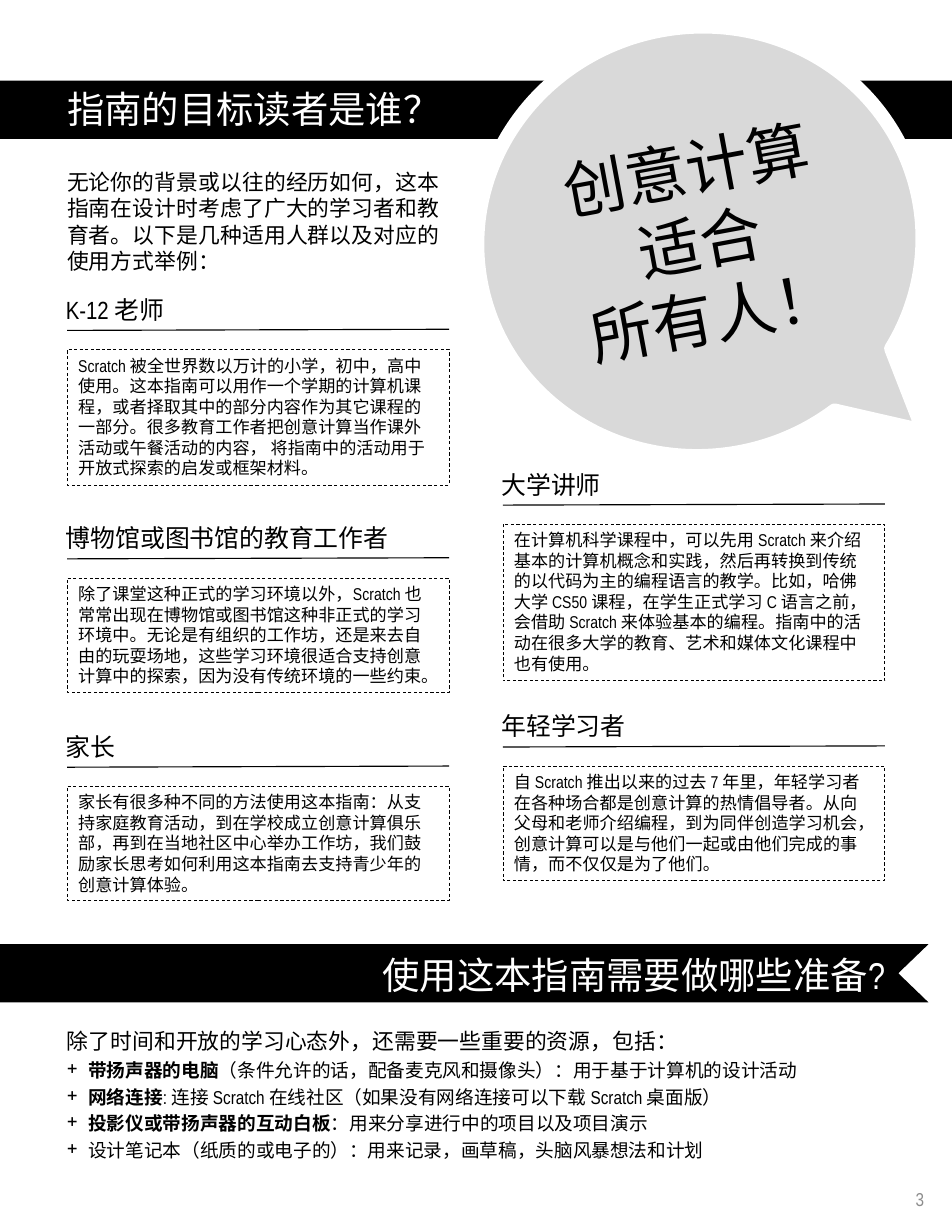
from dataclasses import dataclass

from lxml.etree import SubElement
from pptx import Presentation
from pptx.dml.color import RGBColor
from pptx.enum.dml import MSO_LINE
from pptx.enum.shapes import MSO_CONNECTOR, MSO_SHAPE
from pptx.enum.text import MSO_ANCHOR, MSO_AUTO_SIZE, PP_ALIGN
from pptx.oxml.ns import qn
from pptx.util import Inches, Pt

BLACK = RGBColor(0x00, 0x00, 0x00)
WHITE = RGBColor(0xFF, 0xFF, 0xFF)
BUBBLE = RGBColor(0xD9, 0xD9, 0xD9)
GRAY = RGBColor(0x8C, 0x8C, 0x8C)
FONT = "Arial Narrow"
PAGE_WIDTH, PAGE_HEIGHT = 8.5, 11
MARGIN = 0.5
COLUMNS = (0.6, 4.49)
COLUMN_WIDTH = 3.41
INSET = 0.11
BAND_HEIGHT = 0.52


@dataclass
class Audience:
    column: int
    top: float
    height: float
    heading: str
    body: str


@dataclass
class Resource:
    name: str
    detail: str
    bold: bool = True


AUDIENCES = [
    Audience(0, 2.58, 1.21, "K-12 老师",
             "Scratch 被全世界数以万计的小学，初中，高中使用。这本指南可以用作一个学期的计算机课程，"
             "或者择取其中的部分内容作为其它课程的一部分。很多教育工作者把创意计算当作课外活动或午餐活动的内容， "
             "将指南中的活动用于开放式探索的启发或框架材料。"),
    Audience(1, 4.14, 1.4, "大学讲师",
             "在计算机科学课程中，可以先用 Scratch 来介绍基本的计算机概念和实践，"
             "然后再转换到传统的以代码为主的编程语言的教学。比如，哈佛大学 CS50 课程，"
             "在学生正式学习 C 语言之前，会借助 Scratch 来体验基本的编程。"
             "指南中的活动在很多大学的教育、艺术和媒体文化课程中也有使用。"),
    Audience(0, 4.62, 1.02, "博物馆或图书馆的教育工作者",
             "除了课堂这种正式的学习环境以外，Scratch 也常常出现在博物馆或图书馆这种非正式的学习环境中。"
             "无论是有组织的工作坊，还是来去自由的玩耍场地，这些学习环境很适合支持创意计算中的探索，"
             "因为没有传统环境的一些约束。"),
    Audience(0, 6.48, 1.02, "家长",
             "家长有很多种不同的方法使用这本指南：从支持家庭教育活动，到在学校成立创意计算俱乐部，"
             "再到在当地社区中心举办工作坊，我们鼓励家长思考如何利用这本指南去支持青少年的创意计算体验。"),
    Audience(1, 6.3, 1.02, "年轻学习者",
             "自 Scratch 推出以来的过去 7 年里，年轻学习者在各种场合都是创意计算的热情倡导者。"
             "从向父母和老师介绍编程，到为同伴创造学习机会，创意计算可以是与他们一起或由他们完成的事情，"
             "而不仅仅是为了他们。"),
]

RESOURCES = [
    Resource("带扬声器的电脑", "（条件允许的话，配备麦克风和摄像头）：用于基于计算机的设计活动"),
    Resource("网络连接", ": 连接 Scratch 在线社区（如果没有网络连接可以下载 Scratch 桌面版）"),
    Resource("投影仪或带扬声器的互动白板", "：用来分享进行中的项目以及项目演示"),
    Resource("设计笔记本", "（纸质的或电子的）：用来记录，画草稿，头脑风暴想法和计划", bold=False),
]


def add_span(para, text: str, size: float, color=BLACK, bold=False) -> None:
    span = para.add_run()
    span.text = text
    span.font.name = FONT
    span.font.size = Pt(size)
    span.font.bold = bold
    span.font.color.rgb = color


def write(box, *lines: str, size: float, color=BLACK, align=PP_ALIGN.LEFT,
          anchor=MSO_ANCHOR.TOP, grow=True) -> None:
    frame = box.text_frame
    frame.word_wrap = True
    frame.auto_size = MSO_AUTO_SIZE.SHAPE_TO_FIT_TEXT if grow else MSO_AUTO_SIZE.NONE
    frame.vertical_anchor = anchor
    for index, line in enumerate(lines):
        para = frame.add_paragraph() if index else frame.paragraphs[0]
        para.alignment = align
        add_span(para, line, size, color)


def add_box(page, left: float, top: float, width: float, height: float):
    return page.shapes.add_textbox(Inches(left), Inches(top), Inches(width), Inches(height))


def add_shape(page, preset, left: float, top: float, width: float, height: float, fill=None):
    shape = page.shapes.add_shape(preset, Inches(left), Inches(top), Inches(width), Inches(height))
    paint(shape, fill)
    return shape


def paint(shape, fill) -> None:
    shape.shadow.inherit = False
    shape.line.fill.background()
    if fill is None:
        shape.fill.background()
    else:
        shape.fill.solid()
        shape.fill.fore_color.rgb = fill


def add_rule(page, left: float, top: float) -> None:
    rule = page.shapes.add_connector(MSO_CONNECTOR.STRAIGHT, Inches(left), Inches(top),
                                     Inches(left + COLUMN_WIDTH), Inches(top - 0.01))
    rule.line.color.rgb = BLACK
    rule.line.width = Pt(0.75)
    SubElement(rule._element.spPr, qn("a:effectLst"))


def add_audience(page, audience: Audience) -> None:
    left = COLUMNS[audience.column]
    panel = add_shape(page, MSO_SHAPE.RECTANGLE, left, audience.top + 0.54,
                      COLUMN_WIDTH, audience.height)
    panel.line.color.rgb = BLACK
    panel.line.width = Pt(0.5)
    panel.line.dash_style = MSO_LINE.DASH
    write(panel, audience.body, size=11)
    heading = add_box(page, left - INSET, audience.top, COLUMN_WIDTH + 2 * INSET, 0.37)
    write(heading, audience.heading, size=16)
    add_rule(page, left, audience.top + 0.37)


def add_resource(box, resource: Resource) -> None:
    para = box.text_frame.add_paragraph()
    para.line_spacing = 1.2
    properties = para._p.get_or_add_pPr()
    properties.set("marL", str(Inches(0.19)))
    properties.set("indent", str(Inches(-0.19)))
    SubElement(properties, qn("a:buChar"), char="+")
    add_span(para, resource.name, 12, bold=resource.bold)
    add_span(para, resource.detail, 12)


def add_ribbon(page, top: float) -> None:
    right, notch = 8.29, 8.02
    bottom = top + BAND_HEIGHT
    builder = page.shapes.build_freeform(0, Inches(top))
    points = [(right, top), (notch, top + BAND_HEIGHT / 2), (right, bottom), (0, bottom)]
    builder.add_line_segments([(Inches(x), Inches(y)) for x, y in points], close=True)
    paint(builder.convert_to_shape(), BLACK)
    label = add_box(page, 2.18, top + 0.02, 5.82, 0.5)
    write(label, "使用这本指南需要做哪些准备?", size=24, color=WHITE,
          align=PP_ALIGN.RIGHT, anchor=MSO_ANCHOR.MIDDLE)


def add_bubble(page) -> None:
    bubble = add_shape(page, MSO_SHAPE.OVAL_CALLOUT, 4.26, 0.24, 3.98, 3.83, BUBBLE)
    bubble.adjustments[0] = -0.415
    bubble.adjustments[1] = 0.529
    bubble.rotation = 349.5
    bubble._element.spPr.xfrm.set("flipH", "1")
    bubble.line.color.rgb = WHITE
    bubble.line.width = Pt(9)
    write(bubble, "创意计算适合", "所有人！", size=40, align=PP_ALIGN.CENTER,
          anchor=MSO_ANCHOR.MIDDLE, grow=False)


def place_title(page) -> None:
    title = page.shapes.title
    title.left, title.top = Inches(MARGIN), Inches(0.72)
    title.width, title.height = Inches(5.13), Inches(0.5)
    write(title, "指南的目标读者是谁？", size=24, color=WHITE, anchor=MSO_ANCHOR.MIDDLE)
    page.shapes._spTree.append(title._element)


def main() -> None:
    deck = Presentation()
    deck.slide_width, deck.slide_height = Inches(PAGE_WIDTH), Inches(PAGE_HEIGHT)
    page = deck.slides.add_slide(deck.slide_layouts[5])
    add_shape(page, MSO_SHAPE.RECTANGLE, 0, 0.72, 8.56, BAND_HEIGHT, BLACK)
    resources = add_box(page, MARGIN, 9.13, PAGE_WIDTH - 2 * MARGIN, 1.3)
    write(resources, "除了时间和开放的学习心态外，还需要一些重要的资源，包括：", size=14)
    for resource in RESOURCES:
        add_resource(resources, resource)
    for audience in AUDIENCES:
        add_audience(page, audience)
    introduction = add_box(page, MARGIN, 1.46, 3.52, 1.04)
    write(introduction, "无论你的背景或以往的经历如何，这本指南在设计时考虑了广大的学习者和教育者。"
          "以下是几种适用人群以及对应的使用方式举例：", size=14, align=PP_ALIGN.JUSTIFY)
    add_bubble(page)
    place_title(page)
    number = add_box(page, 4.25, 10.41, 4.1, 0.59)
    write(number, "3", size=12, color=GRAY, align=PP_ALIGN.RIGHT,
          anchor=MSO_ANCHOR.MIDDLE, grow=False)
    add_ribbon(page, 8.43)
    deck.save("out.pptx")


if __name__ == "__main__":
    main()
